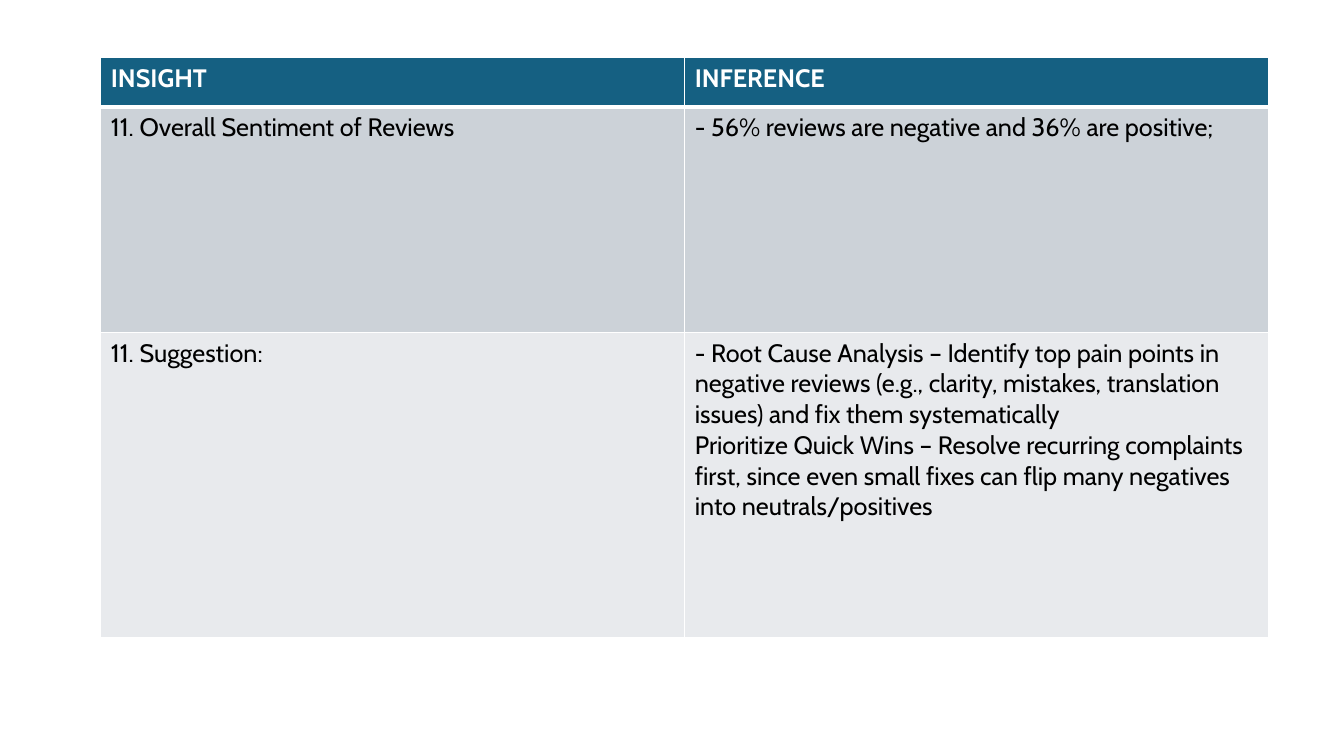
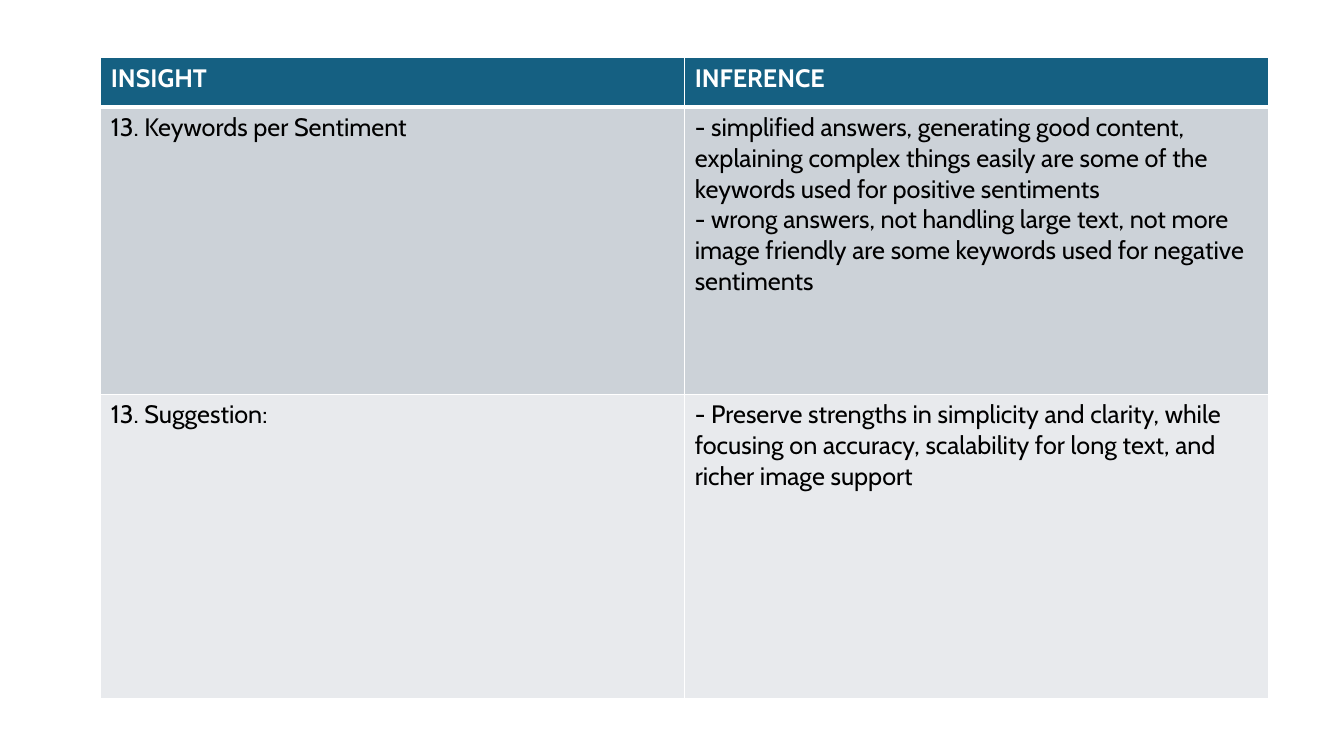
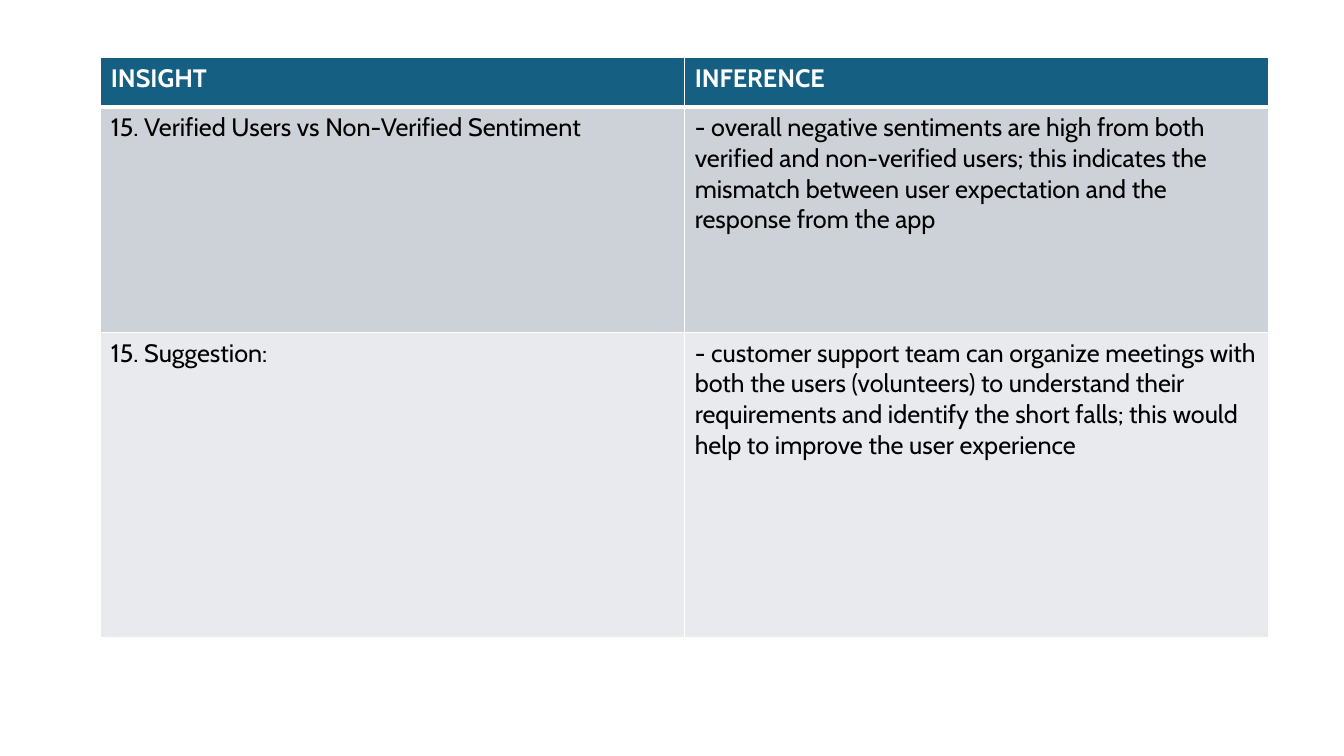
from dataclasses import dataclass

import pptx
import pptx.dml.color
import pptx.oxml.ns
import pptx.util
from lxml import etree

Pt = pptx.util.Pt
Color = pptx.dml.color.RGBColor.from_string

HEADINGS = ("INSIGHT", "INFERENCE")

SLIDES = [
    {
        "insight_height": 161,
        "rows": [
            ("11. Overall Sentiment of Reviews",
             ["- 56% reviews are negative and 36% are positive;"]),
            ("11. Suggestion:",
             ["- Root Cause Analysis – Identify top pain points in negative reviews "
              "(e.g., clarity, mistakes, translation issues) and fix them systematically",
              "Prioritize Quick Wins – Resolve recurring complaints first, since even "
              "small fixes can flip many negatives into neutrals/positives"]),
        ],
    },
    {
        "insight_height": 205,
        "rows": [
            ("13. Keywords per Sentiment",
             ["- simplified answers, generating good content, explaining complex things "
              "easily are some of the keywords used for positive sentiments",
              "- wrong answers, not handling large text, not more image friendly are "
              "some keywords used for negative sentiments"]),
            ("13. Suggestion:",
             ["- Preserve strengths in simplicity and clarity, while focusing on accuracy, "
              "scalability for long text, and richer image support"]),
        ],
    },
    {
        "insight_height": 161,
        "rows": [
            ("15. Verified Users vs Non-Verified Sentiment",
             ["- overall negative sentiments are high from both verified and non-verified "
              "users; this indicates the mismatch between user expectation and the "
              "response from the app"]),
            ("15. Suggestion:",
             ["- customer support team can organize meetings with both the users "
              "(volunteers) to understand their requirements and identify the short "
              "falls; this would help to improve the user experience"]),
        ],
    },
]


@dataclass(frozen=True)
class Theme:
    font: str = "Cabin"
    size: float = 18
    header_text: str = "FFFFFF"
    body_text: str = "000000"
    border: str = "FFFFFF"
    row_fills: tuple = ("156082", "CCD2D8", "E8EAED")
    thin: float = 1
    thick: float = 3


THEME = Theme()
PAGE_WIDTH, PAGE_HEIGHT = 960, 540
TABLE_LEFT, TABLE_TOP = 72, 41.3
COLUMN_WIDTH = 417.1
HEADER_HEIGHT, SUGGESTION_HEIGHT = 35.3, 217.8


def set_borders(cell, row_index):
    widths = {
        "lnL": THEME.thin,
        "lnR": THEME.thin,
        "lnT": THEME.thick if row_index == 1 else THEME.thin,
        "lnB": THEME.thick if row_index == 0 else THEME.thin,
    }
    name = pptx.oxml.ns.qn
    properties = cell._tc.get_or_add_tcPr()
    for side, width in widths.items():
        line = etree.SubElement(properties, name(f"a:{side}"), w=str(Pt(width)))
        fill = etree.SubElement(line, name("a:solidFill"))
        etree.SubElement(fill, name("a:srgbClr"), val=THEME.border)


def fill_cell(cell, paragraphs, row_index):
    is_header = row_index == 0
    set_borders(cell, row_index)
    cell.fill.solid()
    cell.fill.fore_color.rgb = Color(THEME.row_fills[row_index])
    cell.text_frame.text = "\n".join(paragraphs)
    for para in cell.text_frame.paragraphs:
        para.font.name = THEME.font
        para.font.size = Pt(THEME.size)
        para.font.bold = is_header
        para.font.color.rgb = Color(THEME.header_text if is_header else THEME.body_text)


def add_insight_table(page, content):
    rows = [([HEADINGS[0]], [HEADINGS[1]])]
    rows += [([label], inference) for label, inference in content["rows"]]
    heights = (HEADER_HEIGHT, content["insight_height"], SUGGESTION_HEIGHT)
    table = page.shapes.add_table(
        len(rows), len(HEADINGS), Pt(TABLE_LEFT), Pt(TABLE_TOP),
        Pt(COLUMN_WIDTH * len(HEADINGS)), Pt(sum(heights))).table
    table.first_row = False
    table.horz_banding = False
    for column in table.columns:
        column.width = Pt(COLUMN_WIDTH)
    for row_index, (cells, height) in enumerate(zip(rows, heights)):
        table.rows[row_index].height = Pt(height)
        for column_index, paragraphs in enumerate(cells):
            fill_cell(table.cell(row_index, column_index), paragraphs, row_index)


def main():
    deck = pptx.Presentation()
    deck.slide_width, deck.slide_height = Pt(PAGE_WIDTH), Pt(PAGE_HEIGHT)
    for content in SLIDES:
        add_insight_table(deck.slides.add_slide(deck.slide_layouts[6]), content)
    deck.save("out.pptx")


if __name__ == "__main__":
    main()
